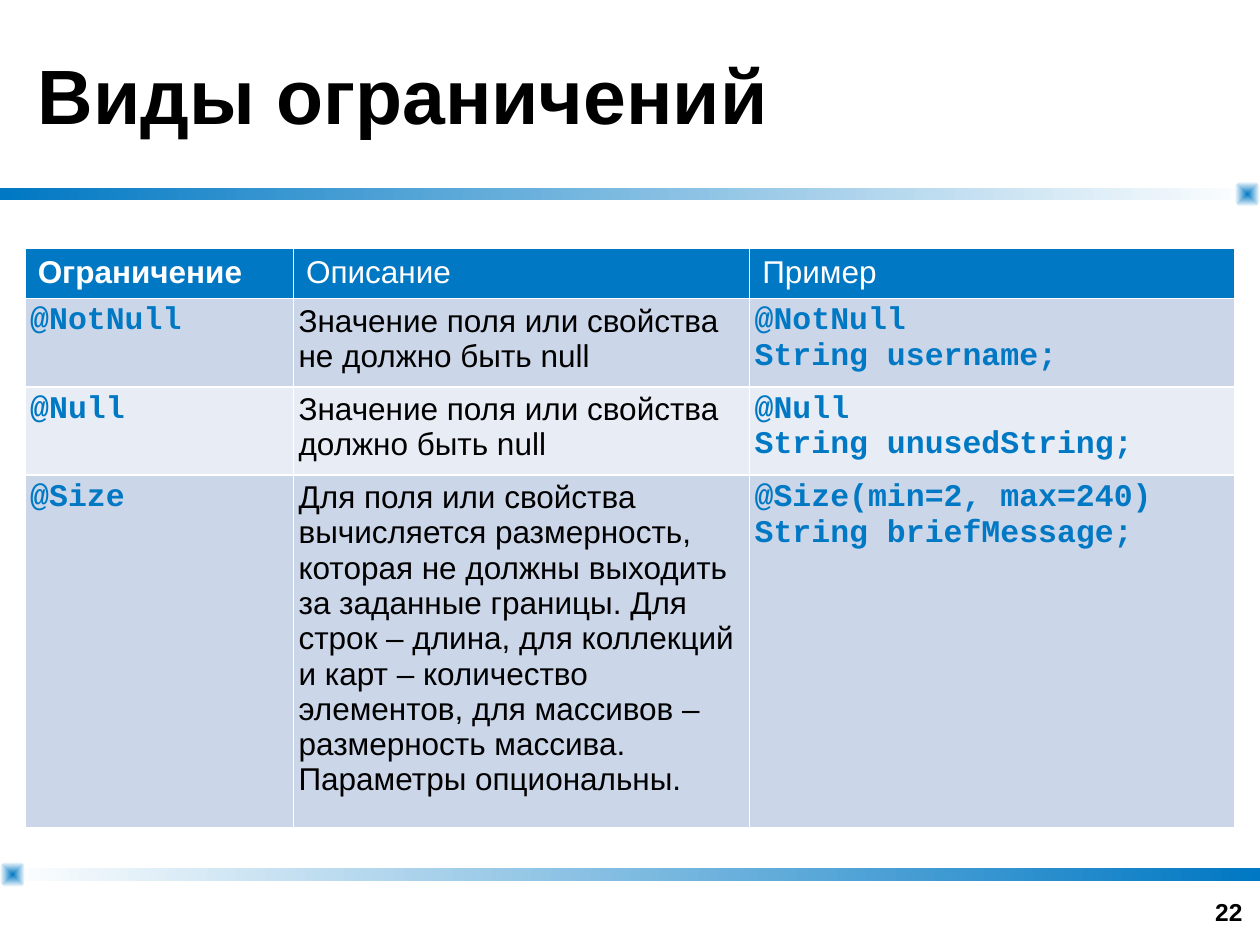
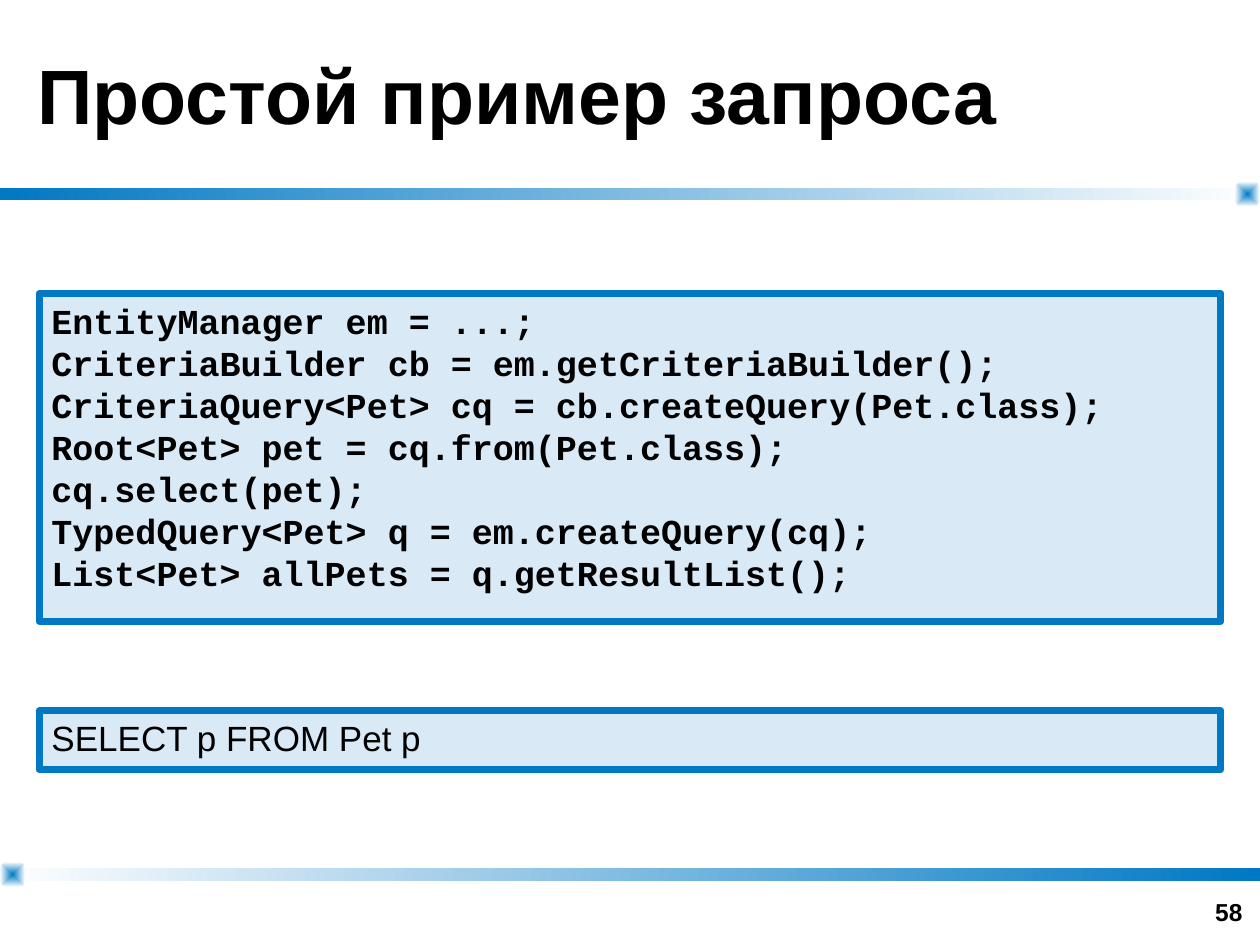
from lxml.etree import SubElement
from pptx import Presentation
from pptx.dml.color import RGBColor
from pptx.enum.shapes import MSO_SHAPE as Shape
from pptx.enum.text import MSO_ANCHOR as Anchor, PP_ALIGN as Align
from pptx.oxml.ns import qn
from pptx.util import Inches, Pt

COLORS = {
    "brand": "0078C3",
    "paper": "FFFFFF",
    "ink": "000000",
    "odd_row": "CCD6E9",
    "even_row": "E7ECF5",
}
SANS, MONO = "Arial", "Courier New"
COLUMNS, ROWS = 100, 75
UNIT = Inches(0.1)


def color(name):
    return RGBColor.from_string(COLORS[name])


def grid(*cells):
    return [round(cell * UNIT) for cell in cells]


class Deck:
    def __init__(self):
        self.deck = Presentation()
        self.deck.slide_width, self.deck.slide_height = grid(COLUMNS, ROWS)
        self.page = None

    def new_page(self, title, number):
        self.page = self.deck.slides.add_slide(self.deck.slide_layouts[6])
        self.band(14.9, "brand", "paper", COLUMNS - 2)
        self.band(68.9, "paper", "brand", 0)
        self.label(title, (2, 0, 96, 14.9), 44, Anchor.MIDDLE, Align.LEFT)
        self.label(number, (76.3, 69, 23.3, 5), 14, Anchor.BOTTOM, Align.RIGHT)

    def shape(self, kind, place):
        box = self.page.shapes.add_shape(kind, *grid(*place))
        box.shadow.inherit = False
        return box

    def gradient(self, kind, place, start, end):
        box = self.shape(kind, place)
        box.line.fill.background()
        box.fill.gradient()
        box.fill.gradient_angle = 0
        for stop, name in zip(box.fill.gradient_stops, (start, end)):
            stop.color.rgb = color(name)
        return box

    def band(self, top, start, end, knob_left):
        self.gradient(Shape.RECTANGLE, (0, top, COLUMNS, 1), start, end)
        knob = self.gradient(Shape.ROUNDED_RECTANGLE, (knob_left, top - 0.5, 2, 2),
                             "brand", "paper")
        knob.adjustments[0] = 0.32
        fill = knob.element.spPr.find(qn("a:gradFill"))
        fill.remove(fill.find(qn("a:lin")))
        radial = SubElement(fill, qn("a:path"), path="shape")
        SubElement(radial, qn("a:fillToRect"), dict.fromkeys("ltrb", "50000"))

    def text(self, frame, text, size, font=SANS, bold=False, ink="ink", align=Align.LEFT):
        frame.text = text
        frame.word_wrap = True
        for para in frame.paragraphs:
            para.alignment = align
            for span in para.runs:
                span.font.name, span.font.size, span.font.bold = font, Pt(size), bold
                span.font.color.rgb = color(ink)

    def label(self, text, place, size, anchor, align):
        box = self.page.shapes.add_textbox(*grid(*place))
        self.text(box.text_frame, text, size, bold=True, align=align)
        box.text_frame.vertical_anchor = anchor

    def code(self, text, top, height, font, bold):
        box = self.shape(Shape.RECTANGLE, (3.1, top, COLUMNS - 6.2, height))
        box.fill.solid()
        box.fill.fore_color.rgb = color("brand")
        tint = box.element.spPr.find(qn("a:solidFill"))[0]
        SubElement(tint, qn("a:alpha"), val="15000")
        box.line.color.rgb = color("brand")
        box.line.width = Pt(4)
        self.text(box.text_frame, text, 20, font, bold)
        box.text_frame.vertical_anchor = Anchor.TOP

    def borders(self, cell):
        props = cell._tc.get_or_add_tcPr()
        for index, side in enumerate(("lnL", "lnR", "lnT", "lnB")):
            line = SubElement(props, qn("a:" + side), w=str(Pt(1)))
            fill = SubElement(line, qn("a:solidFill"))
            SubElement(fill, qn("a:srgbClr"), val=COLORS["paper"])
            props.insert(index, line)

    def table(self, lines, place, widths, heights):
        frame = self.page.shapes.add_table(len(lines), len(widths), *grid(*place))
        table = frame.table
        table.horz_banding = False
        for column, width in zip(table.columns, grid(*widths)):
            column.width = width
        for row, height in zip(table.rows, grid(*heights)):
            row.height = height
        for r, line in enumerate(lines):
            for c, text in enumerate(line):
                self.table_cell(table.cell(r, c), text, r, c)

    def table_cell(self, cell, text, r, c):
        header, is_code = r == 0, r > 0 and c != 1
        cell.fill.solid()
        cell.fill.fore_color.rgb = color(
            "brand" if header else "odd_row" if r % 2 else "even_row")
        self.borders(cell)
        if header:
            self.text(cell.text_frame, text, 18, bold=c == 0, ink="paper")
            return
        cell.margin_left = cell.margin_right = cell.margin_top = Inches(0.04)
        cell.margin_bottom = Inches(0.06)
        self.text(cell.text_frame, text, 18, MONO if is_code else SANS,
                  is_code, "brand" if is_code else "ink")

    def save(self):
        self.deck.save("out.pptx")


CONSTRAINTS = [
    ("Ограничение", "Описание", "Пример"),
    ("@NotNull", "Значение поля или свойства не должно быть null",
     "@NotNull\nString username;"),
    ("@Null", "Значение поля или свойства должно быть null",
     "@Null\nString unusedString;"),
    ("@Size",
     "Для поля или свойства вычисляется размерность, которая не должны выходить "
     "за заданные границы. Для строк – длина, для коллекций и карт – количество "
     "элементов, для массивов – размерность массива. Параметры опциональны.",
     "@Size(min=2, max=240)\nString briefMessage;"),
]

QUERY = """EntityManager em = ...;
CriteriaBuilder cb = em.getCriteriaBuilder();
CriteriaQuery<Pet> cq = cb.createQuery(Pet.class);
Root<Pet> pet = cq.from(Pet.class);
cq.select(pet);
TypedQuery<Pet> q = em.createQuery(cq);
List<Pet> allPets = q.getResultList();"""


def main():
    deck = Deck()
    deck.new_page("Виды ограничений", "22")
    deck.table(CONSTRAINTS, (2, 19.7, 96, 43.6),
               (21.3, 36.2, 38.5), (4, 6.7, 6.7, 26.2))
    deck.new_page("Простой пример запроса", "58")
    deck.code(QUERY, 23.3, 26, MONO, True)
    deck.code("SELECT p FROM Pet p", 56.4, 4.7, SANS, False)
    deck.save()


if __name__ == "__main__":
    main()
